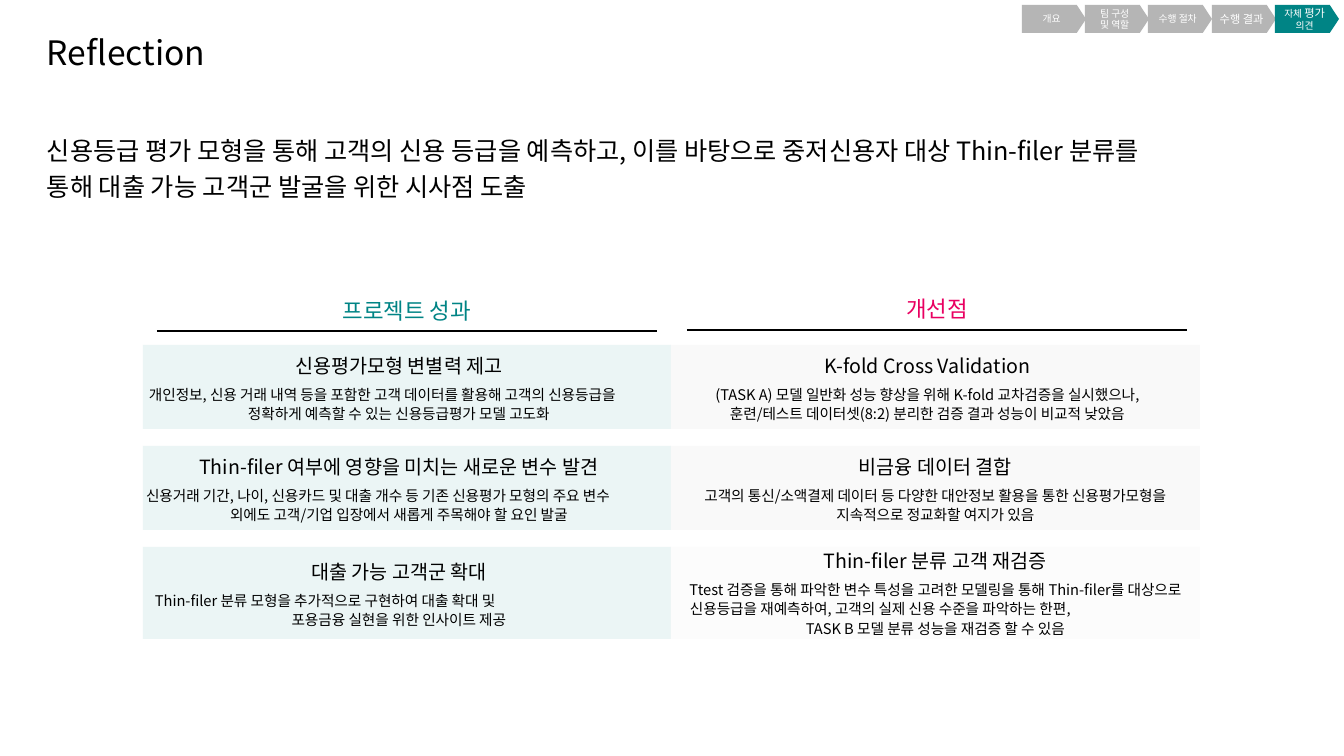
from pptx import Presentation, util as u
from pptx.dml.color import RGBColor
from pptx.enum import shapes, text
from pptx.oxml.ns import qn
from lxml import etree

FONT = "Noto Sans CJK KR"
BLACK = RGBColor(0, 0, 0)
WHITE = RGBColor(255, 255, 255)
TEAL = RGBColor(0x00, 0x84, 0x85)
PINK = RGBColor(0xE9, 0x00, 0x61)
GRAY = RGBColor(0xB5, 0xB5, 0xB5)
MINT = RGBColor(0xEB, 0xF5, 0xF5)
PALE = RGBColor(0xF9, 0xF9, 0xF9)
FAINT = RGBColor(0xFC, 0xFC, 0xFC)

# Content
TITLE = "Reflection"
LEAD = ("신용등급 평가 모형을 통해 고객의 신용 등급을 예측하고, 이를 바탕으로 중저신용자 대상 "
        "Thin-filer 분류를 통해 대출 가능 고객군 발굴을 위한 시사점 도출")
# Each step: lines of (text, size) runs
STEPS = [
    [[("개요", 7)]],
    [[("팀 구성", 7)], [("및 역할", 7)]],
    [[("수행 절차", 7)]],
    [[("수행 결과", 8)]],
    [[("자체 ", 7), ("평가", 8)], [("의견", 7)]],
]
# Heading, colour, left, top, rule y
HEADS = [("프로젝트 성과", TEAL, 157, 293, 331), ("개선점", PINK, 687, 291, 330)]
# Each card: fill, right inset, head spacing, head, lines of (text, left indent or None if centred)
ROWS = [
    [(MINT, 16, 1.1, "신용평가모형 변별력 제고",
      [("개인정보, 신용 거래 내역 등을 포함한 고객 데이터를 활용해 고객의 신용등급을", 6),
       ("정확하게 예측할 수 있는 신용등급평가 모델 고도화", None)]),
     (PALE, 16, 1.1, "K-fold Cross Validation",
      [("(TASK A) 모델 일반화 성능 향상을 위해 K-fold 교차검증을 실시했으나,", None),
       ("훈련/테스트 데이터셋(8:2) 분리한 검증 결과 성능이 비교적 낮았음", None)])],
    [(MINT, 16, 1.1, "Thin-filer 여부에 영향을 미치는 새로운 변수 발견",
      [("신용거래 기간, 나이, 신용카드 및 대출 개수 등 기존 신용평가 모형의 주요 변수", 3),
       ("외에도 고객/기업 입장에서 새롭게 주목해야 할 요인 발굴", None)]),
     (PALE, 0, 1.1, "비금융 데이터 결합",
      [("고객의 통신/소액결제 데이터 등 다양한 대안정보 활용을 통한 신용평가모형을", None),
       ("지속적으로 정교화할 여지가 있음", None)])],
    [(MINT, 16, 1.1, "대출 가능 고객군 확대",
      [("Thin-filer 분류 모형을 추가적으로 구현하여 대출 확대 및", 12),
       ("포용금융 실현을 위한 인사이트 제공", None)]),
     (FAINT, 0, 1.0, "Thin-filer 분류 고객 재검증",
      [("Ttest 검증을 통해 파악한 변수 특성을 고려한 모델링을 통해 Thin-filer를 대상으로", None),
       ("신용등급을 재예측하여, 고객의 실제 신용 수준을 파악하는 한편,", 19),
       ("TASK B 모델 분류 성능을 재검증 할 수 있음", None)])],
]
TALL = [84, 84, 92]
COLS = [(143, 528), (671, 529)]
TOP, PITCH = 345, 101

MID = text.PP_ALIGN.CENTER
LEFT = text.PP_ALIGN.LEFT


def px(n):
    return round(n * 914400 / 100.8)


def box(*at):
    return [px(n) for n in at]


def frame(shape, pads, anchor):
    tf = shape.text_frame
    tf.word_wrap = True
    tf.auto_size = text.MSO_AUTO_SIZE.NONE
    tf.vertical_anchor = anchor
    tf.margin_left, tf.margin_top, tf.margin_right, tf.margin_bottom = box(*pads)
    return tf


def line(tf, runs, color, first=True, align=MID, lead=None, gap=0, indent=0):
    par = tf.paragraphs[0] if first else tf.add_paragraph()
    par.alignment = align
    if lead:
        par.line_spacing = lead
    if gap:
        par.space_before = u.Pt(gap)
    if indent:
        par._p.get_or_add_pPr().set("marL", str(px(indent)))
    for words, size in runs:
        run = par.add_run()
        run.text = words
        run.font.size = u.Pt(size)
        run.font.name = FONT
        run.font.color.rgb = color
        etree.SubElement(run._r.get_or_add_rPr(), qn("a:ea"), typeface=FONT)


def panel(kind, at, fill):
    shape = slide.shapes.add_shape(kind, *box(*at))
    shape.shadow.inherit = False
    shape.fill.solid()
    shape.fill.fore_color.rgb = fill
    shape.line.fill.background()
    return shape


prs = Presentation()
prs.slide_width, prs.slide_height = box(1344, 756)
slide = prs.slides.add_slide(prs.slide_layouts[5])
UP, HUB = text.MSO_ANCHOR.TOP, text.MSO_ANCHOR.MIDDLE

# Title and lead sentence
title = slide.shapes.title
title.left, title.top, title.width, title.height = box(37, 31, 888, 80)
line(frame(title, (10, 5, 10, 5), UP), [(TITLE, 24)], BLACK, align=LEFT, lead=0.9)
lead = slide.shapes.add_textbox(*box(37, 124, 1115, 100))
line(frame(lead, (10, 5, 10, 5), UP), [(LEAD, 18)], BLACK, align=LEFT, lead=1.2)

# Column headings with rules
for words, color, x, y, base in HEADS:
    head = slide.shapes.add_textbox(*box(x, y, 500, 35))
    line(frame(head, (4, 4, 4, 4), HUB), [(words, 16)], color)
    rule = slide.shapes.add_connector(
        shapes.MSO_CONNECTOR.STRAIGHT, *box(x, base, x + 500, base))
    rule.line.color.rgb = BLACK
    rule.line.width = u.Pt(1)
    etree.SubElement(rule._element.spPr, qn("a:effectLst"))

# Cards
for i, (row, tall) in enumerate(zip(ROWS, TALL)):
    for (x, wide), (fill, pad, space, head, lines) in zip(COLS, row):
        card = panel(shapes.MSO_SHAPE.RECTANGLE, (x, TOP + i * PITCH, wide, tall), fill)
        tf = frame(card, (0, 4, pad, 4), HUB)
        line(tf, [(head, 14)], BLACK, lead=space)
        for n, (words, indent) in enumerate(lines):
            line(tf, [(words, 10.5)], BLACK, first=False, lead=1.1,
                 align=LEFT if indent else MID, gap=0 if n else 5, indent=indent)

# Progress steps, the last one active
for i, lines in enumerate(STEPS):
    fill = TEAL if i == len(STEPS) - 1 else GRAY
    step = panel(shapes.MSO_SHAPE.PENTAGON, (1022 + round(63.25 * i), 5, 64, 28), fill)
    step.adjustments[0] = 0.33
    tf = frame(step, (0, 5, 0, 5), HUB)
    for n, runs in enumerate(lines):
        line(tf, runs, WHITE, first=n == 0)

prs.save("out.pptx")
